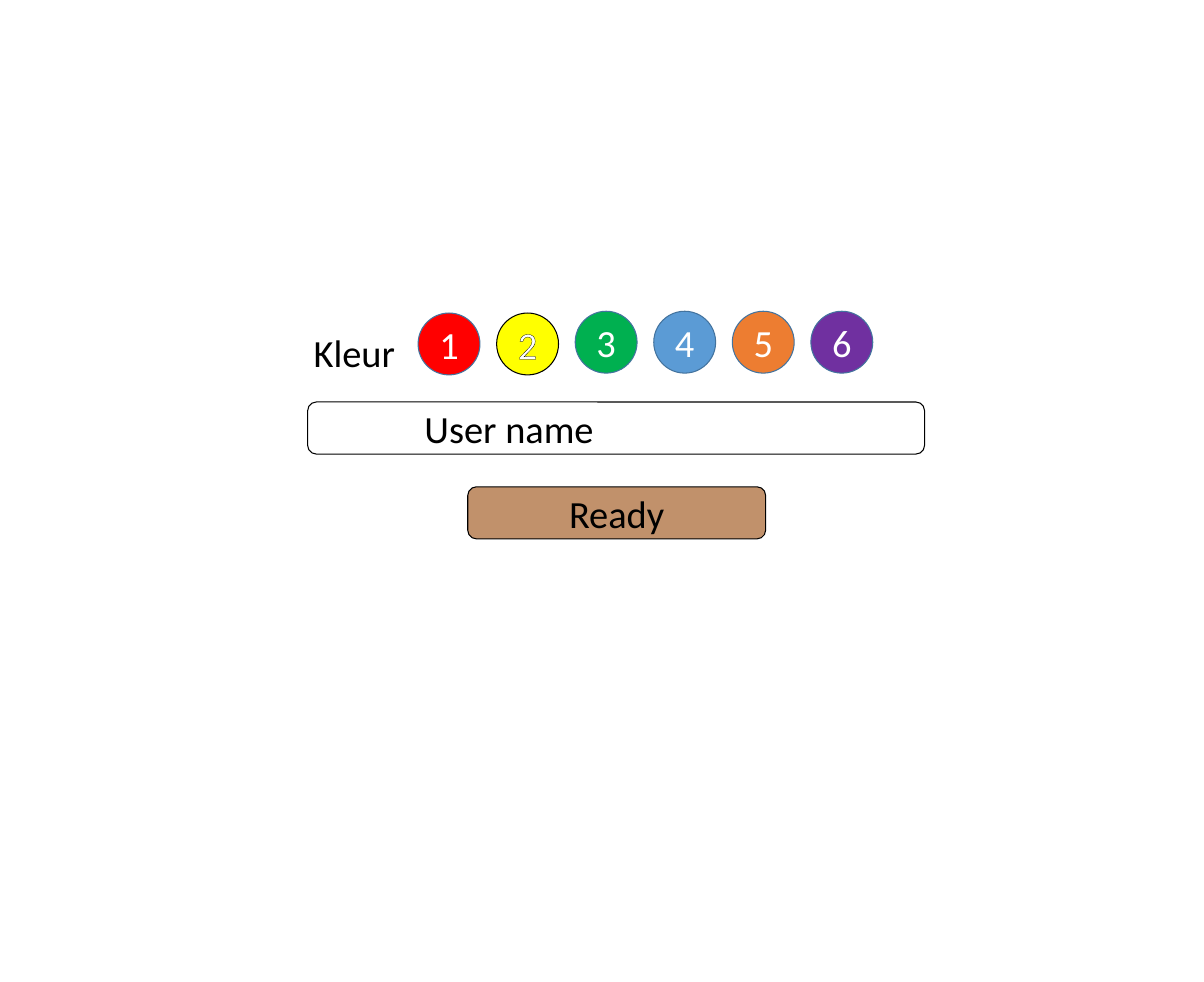
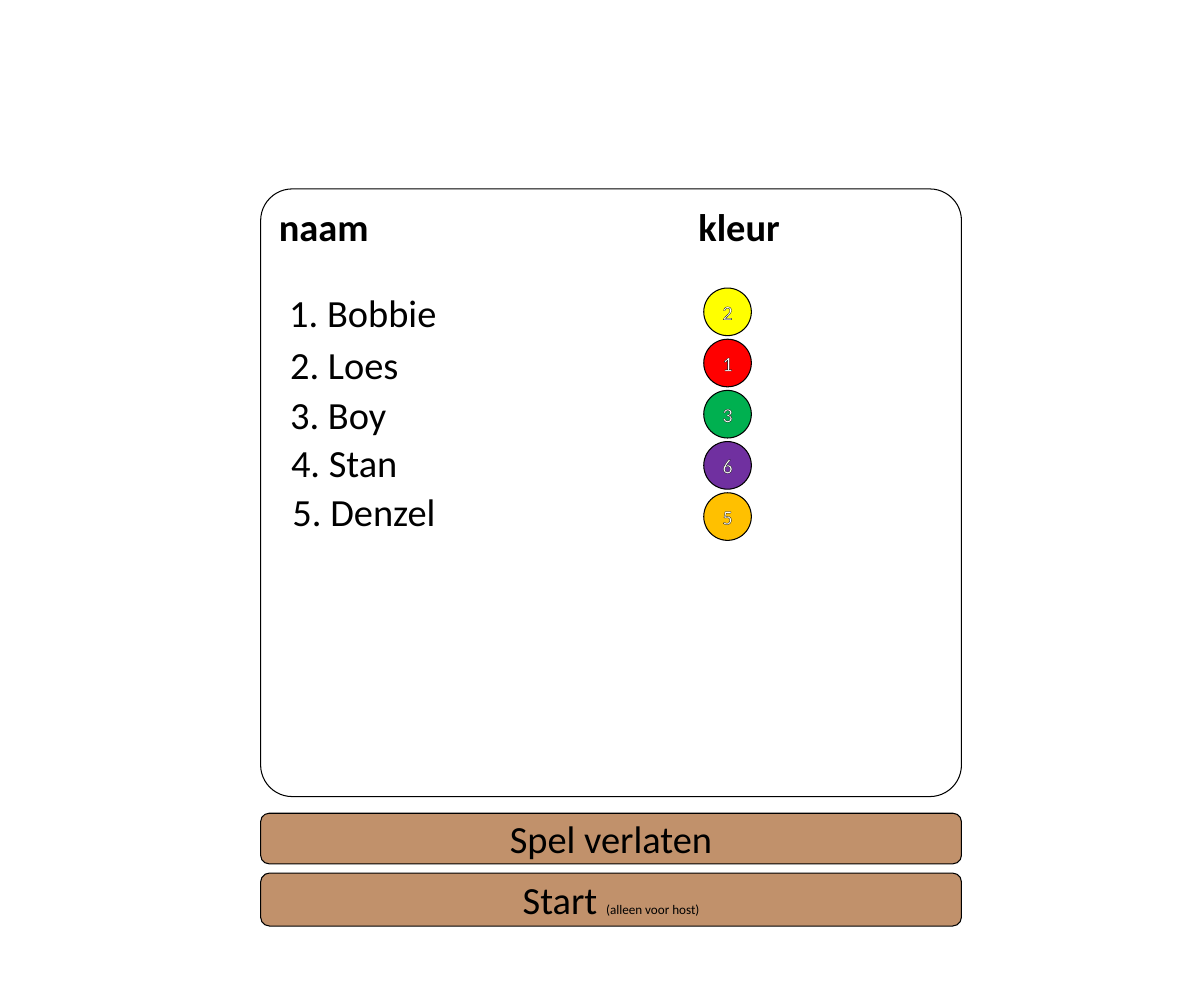
"""Builds the lobby screens of a board game: choosing a colour and waiting for players."""
from lxml.etree import SubElement
from pptx import Presentation
from pptx.dml.color import RGBColor
from pptx.enum.shapes import MSO_SHAPE
from pptx.enum.text import MSO_ANCHOR, PP_ALIGN
from pptx.oxml import parse_xml
from pptx.oxml.ns import nsdecls, qn
from pptx.util import Cm, Pt

BLACK = RGBColor(0x00, 0x00, 0x00)
WHITE = RGBColor(0xFF, 0xFF, 0xFF)
BROWN = RGBColor(0xC1, 0x91, 0x6B)
STEEL = RGBColor(0x43, 0x73, 0x9E)
RED = RGBColor(0xFF, 0x00, 0x00)
YELLOW = RGBColor(0xFF, 0xFF, 0x00)
GREEN = RGBColor(0x00, 0xB0, 0x50)
BLUE = RGBColor(0x5B, 0x9B, 0xD5)
ORANGE = RGBColor(0xED, 0x7D, 0x31)
AMBER = RGBColor(0xFF, 0xC0, 0x00)
PURPLE = RGBColor(0x70, 0x30, 0xA0)


class Screen:
    """Holds the style and the current slide."""

    font = "Calibri"
    size = 36.6
    small = 12.5

    def __init__(self):
        self.deck = Presentation()
        self.deck.slide_width = Cm(40.46)
        self.deck.slide_height = Cm(33)

    def start(self):
        self.slide = self.deck.slides.add_slide(self.deck.slide_layouts[6])

    def fill_in(self, frame, text, color=BLACK, size=size, bold=False, align=PP_ALIGN.LEFT):
        para = frame.paragraphs[0]
        para.alignment = align
        para.font.name = self.font
        para.font.size = Pt(size)
        para.font.bold = bold
        para.font.color.rgb = color
        para.add_run().text = text
        return para

    def shape(self, kind, x, y, w, h, fill, line=BLACK):
        shape = self.slide.shapes.add_shape(kind, Cm(x), Cm(y), Cm(w), Cm(h))
        shape.shadow.inherit = False
        shape.fill.solid()
        shape.fill.fore_color.rgb = fill
        shape.line.color.rgb = line
        shape.line.width = Pt(1)
        frame = shape.text_frame
        frame.word_wrap = True
        frame.vertical_anchor = MSO_ANCHOR.MIDDLE
        frame.margin_left = frame.margin_right = Cm(0.3)
        frame.margin_top = frame.margin_bottom = Cm(0.15)
        return shape

    def panel(self, x, y, w, h, text, tab, bold=False):
        panel = self.shape(MSO_SHAPE.ROUNDED_RECTANGLE, x, y, w, h, WHITE)
        para = self.fill_in(panel.text_frame, text, bold=bold)
        stops = parse_xml(f'<a:tabLst {nsdecls("a")}/>')
        SubElement(stops, qn("a:tab"), pos=str(Cm(tab)), algn="l")
        para._p.get_or_add_pPr().insert(0, stops)
        return panel

    def button(self, x, y, w, h, text, note=""):
        button = self.shape(MSO_SHAPE.ROUNDED_RECTANGLE, x, y, w, h, BROWN)
        para = self.fill_in(button.text_frame, text, align=PP_ALIGN.CENTER)
        if note:
            run = para.add_run()
            run.text = note
            run.font.size = Pt(self.small)

    def dot(self, x, y, side, text, fill, size=size, line=BLACK):
        dot = self.shape(MSO_SHAPE.OVAL, x, y, side, side, fill, line)
        para = self.fill_in(dot.text_frame, text, WHITE, size, align=PP_ALIGN.CENTER)
        if line == BLACK:
            edge = parse_xml(
                f'<a:ln {nsdecls("a")} w="{Pt(0.75)}"><a:solidFill>'
                f'<a:srgbClr val="{BLACK}"/></a:solidFill></a:ln>'
            )
            para.runs[0]._r.get_or_add_rPr().insert(0, edge)

    def label(self, x, y, w, text):
        box = self.slide.shapes.add_textbox(Cm(x), Cm(y), Cm(w), Cm(1.83))
        box.text_frame.word_wrap = False
        self.fill_in(box.text_frame, text)


def choose(screen):
    """Draws the form for colour and user name."""
    screen.start()
    screen.panel(10.34, 13.51, 20.73, 1.75, "\tUser name", 3.54)
    screen.label(10.29, 10.95, 3.28, "Kleur")
    dots = [
        (RED, STEEL, 10.52), (YELLOW, BLACK, 10.52), (GREEN, STEEL, 10.46),
        (BLUE, STEEL, 10.46), (ORANGE, STEEL, 10.46), (PURPLE, STEEL, 10.46),
    ]
    for i, (fill, line, y) in enumerate(dots):
        screen.dot(14.05 + 2.64 * i, y, 2.08, str(i + 1), fill, line=line)
    screen.button(15.72, 16.36, 10.01, 1.75, "Ready")


def wait(screen):
    """Draws the list of players and the buttons below it."""
    screen.start()
    left, width = 8.76, 23.55
    screen.button(left, 27.33, width, 1.7, "Spel verlaten")
    screen.button(left, 29.34, width, 1.78, "Start ", "(alleen voor host)")
    panel = screen.panel(left, 6.35, width, 20.42, "naam\tkleur", 14.1, bold=True)
    panel.adjustments[0] = 0.052
    panel.text_frame.vertical_anchor = MSO_ANCHOR.TOP
    players = [
        ("Bobbie", 9.47, 9.6, 5.51, "2", YELLOW),
        ("Loes", 9.5, 11.33, 4.19, "1", RED),
        ("Boy", 9.5, 13.03, 3.76, "3", GREEN),
        ("Stan", 9.53, 14.63, 4.11, "6", PURPLE),
        ("Denzel", 9.58, 16.28, 5.36, "5", AMBER),
    ]
    for i, (name, x, y, w, digit, fill) in enumerate(players):
        screen.label(x, y, w, f"{i + 1}. {name}")
        screen.dot(23.65, 9.68 + 1.72 * i, 1.6, digit, fill, size=19.1)


def main():
    screen = Screen()
    choose(screen)
    wait(screen)
    screen.deck.save("out.pptx")


if __name__ == "__main__":
    main()
